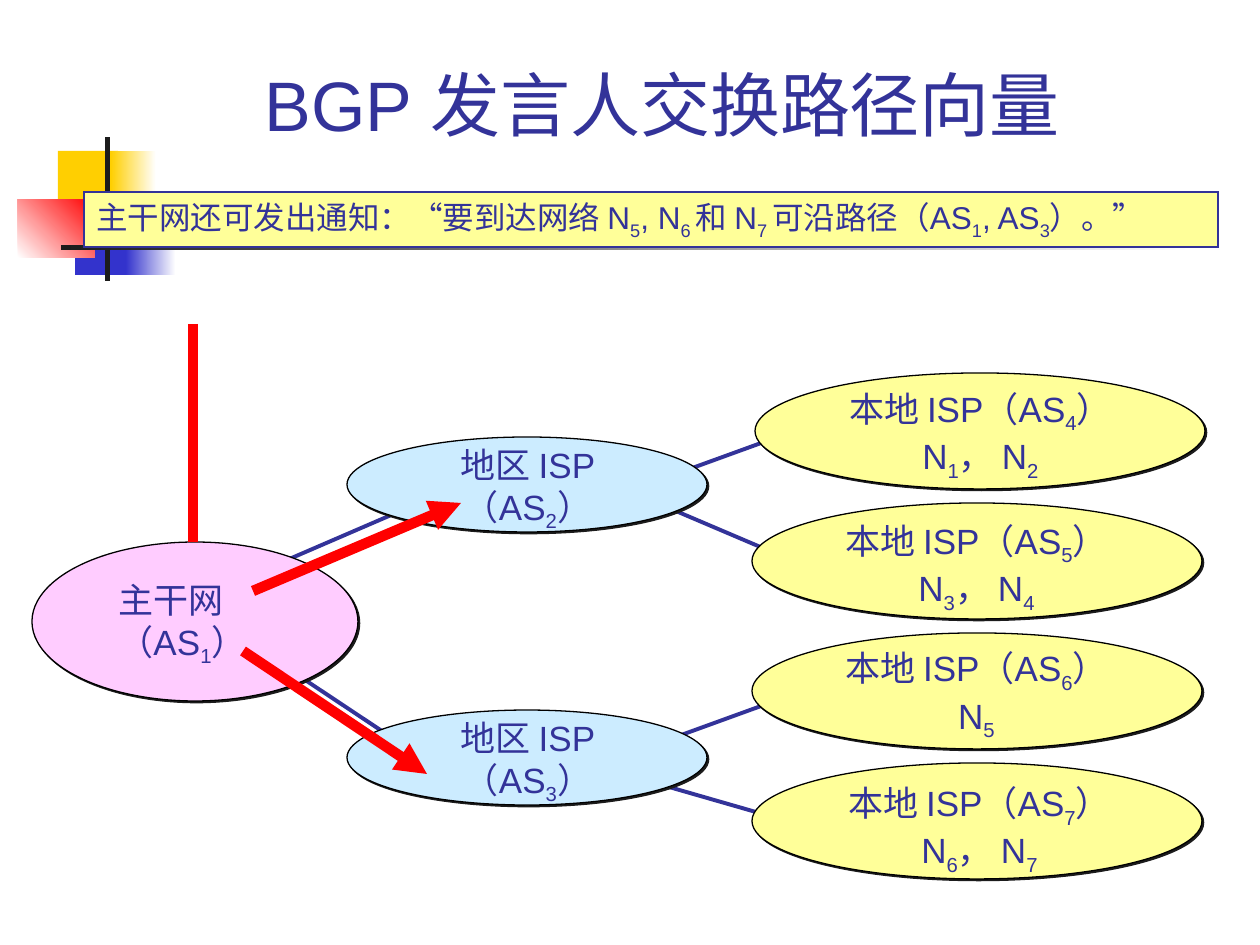
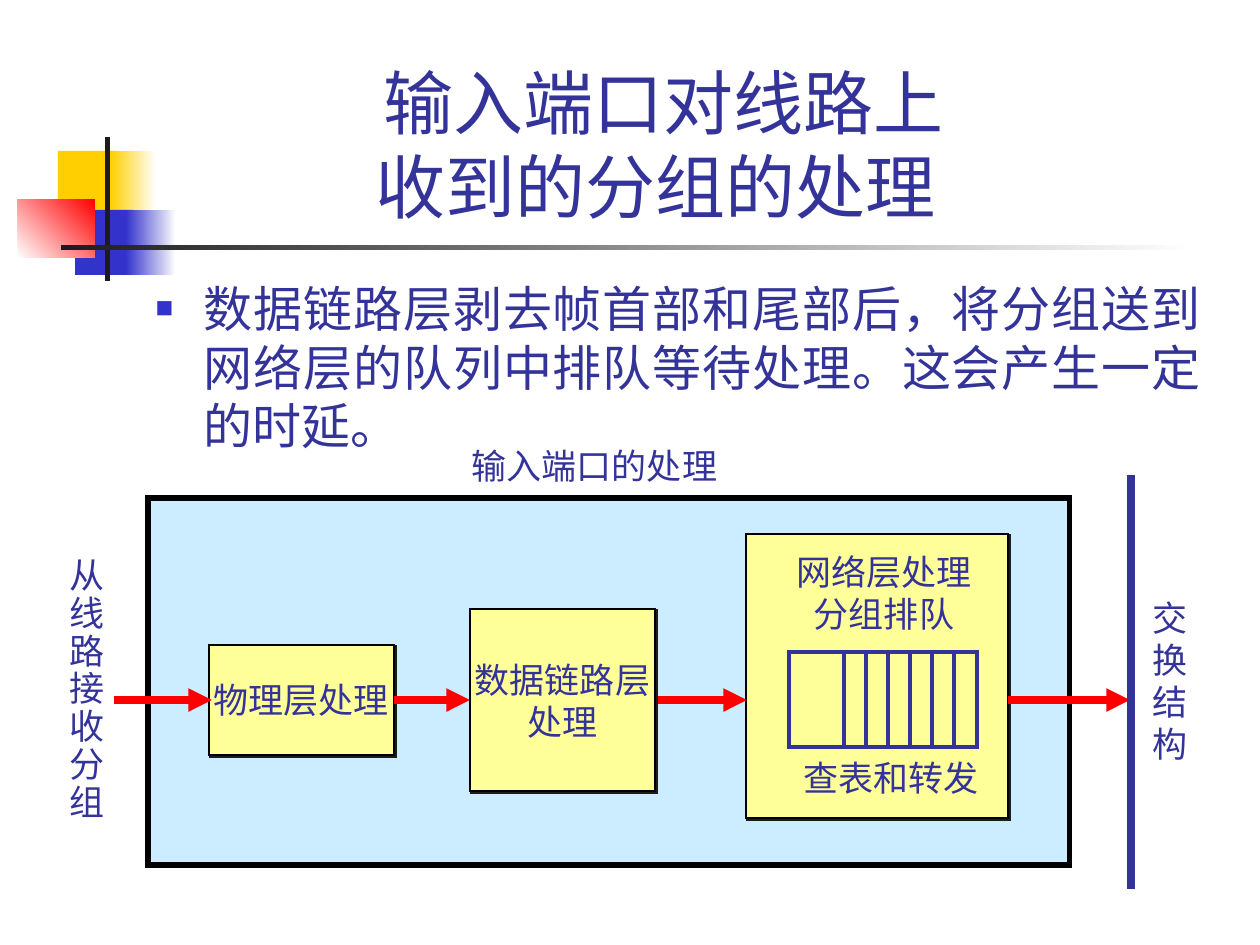
import lxml.etree
import pptx
import pptx.dml.color
import pptx.enum.shapes
import pptx.enum.text
import pptx.oxml.ns
import pptx.util

EMU_PER_PX = 914400 / 126
FONT = "Arial"
COLORS = {
    "ink": "333399",
    "blue": "3333CC",
    "gold": "FFCF01",
    "red": "FF0000",
    "charcoal": "1C1C1C",
    "black": "000000",
    "white": "FFFFFF",
    "sky": "CCECFF",
    "pink": "FFCCFF",
    "lemon": "FFFF99",
}
RECTANGLE = pptx.enum.shapes.MSO_SHAPE.RECTANGLE
OVAL = pptx.enum.shapes.MSO_SHAPE.OVAL
ALIGN = pptx.enum.text.PP_ALIGN
ANCHOR = pptx.enum.text.MSO_ANCHOR
AUTO_SIZE = pptx.enum.text.MSO_AUTO_SIZE


def px(length):
    return pptx.util.Emu(round(length * EMU_PER_PX))


def rgb(name):
    return pptx.dml.color.RGBColor.from_string(COLORS[name])


def add_element(parent, tag, **attributes):
    element = lxml.etree.SubElement(parent, pptx.oxml.ns.qn(tag))
    for name, value in attributes.items():
        element.set(name, value)
    return element


def inside(box, left, top, width, height):
    return box[0] + left, box[1] + top, width, height


def move(shape, box):
    shape.left, shape.top, shape.width, shape.height = map(px, box)


def format_paragraph(paragraph, size, align):
    paragraph.alignment = align
    paragraph.font.size = pptx.util.Pt(size)
    paragraph.font.name = FONT
    paragraph.font.color.rgb = rgb("ink")


def write_subscripts(paragraph, text):
    plain, *marked = text.split("_")
    paragraph.add_run().text = plain
    for part in marked:
        length = 2 if part[1:2] == " " else 1
        subscript = paragraph.add_run()
        subscript.text = part[:length]
        subscript._r.get_or_add_rPr().set("baseline", "-25000")
        if part[length:]:
            paragraph.add_run().text = part[length:]


def write_lines(shape, lines, size=20, align=ALIGN.CENTER, wrap=False, spacing=None):
    frame = shape.text_frame
    frame.word_wrap = wrap
    for index, line in enumerate(lines):
        paragraph = frame.add_paragraph() if index else frame.paragraphs[0]
        write_subscripts(paragraph, line)
        if spacing:
            paragraph.line_spacing = spacing
        format_paragraph(paragraph, size, align)


def add_label(slide, box, lines, **options):
    label = slide.shapes.add_textbox(*map(px, box))
    write_lines(label, lines, **options)
    label.text_frame.auto_size = AUTO_SIZE.SHAPE_TO_FIT_TEXT


def add_block(slide, kind, box, fill, line=None, width=0.75, shadow=False):
    block = slide.shapes.add_shape(kind, *map(px, box))
    block.shadow.inherit = False
    block.fill.solid()
    block.fill.fore_color.rgb = rgb(fill)
    if line:
        block.line.color.rgb = rgb(line)
        block.line.width = pptx.util.Pt(width)
        add_element(block.line._get_or_add_ln(), "a:miter", lim="800000")
    else:
        block.line.fill.background()
    if shadow:
        effects = block._element.spPr.find(pptx.oxml.ns.qn("a:effectLst"))
        outer = add_element(effects, "a:outerShdw", dist="17780", dir="2700000",
                            algn="ctr", rotWithShape="0")
        add_element(outer, "a:srgbClr", val=COLORS["charcoal"])
    return block


def add_line(slide, box, start, end, color="ink", width=2.25, arrow=False):
    points = [px(box[axis] + point[axis]) for point in (start, end) for axis in (0, 1)]
    line = slide.shapes.add_connector(pptx.enum.shapes.MSO_CONNECTOR.STRAIGHT, *points)
    line.line.color.rgb = rgb(color)
    line.line.width = pptx.util.Pt(width)
    if arrow:
        add_element(line.line._get_or_add_ln(), "a:tailEnd", type="triangle")
    add_element(line._element.spPr, "a:effectLst")
    return line


def add_ornament(slide, box):
    parts = [
        ((40, 15, 60, 66), "gold", None, 0),
        ((93, 15, 45, 66), "gold", "white", 0),
        ((57, 74, 58, 65), "blue", None, 0),
        ((108, 74, 50, 65), "blue", "white", 0),
        ((0, 63, 77, 59), "white", "red", 45),
        ((87, 1, 5, 144), "charcoal", None, 0),
        ((43, 109, 1134, 5), "charcoal", "white", 0),
    ]
    for bounds, first, last, angle in parts:
        part = add_block(slide, RECTANGLE, inside(box, *bounds), first)
        if last:
            part.fill.gradient()
            part.fill.gradient_angle = angle
            for stop, color in zip(part.fill.gradient_stops, (first, last)):
                stop.color.rgb = rgb(color)


def add_titled_slide(presentation, layout, title, box):
    slide = presentation.slides.add_slide(presentation.slide_layouts[layout])
    add_ornament(slide, (18, 136, 1177, 145))
    move(slide.shapes.title, box)
    frame = slide.shapes.title.text_frame
    frame.auto_size = AUTO_SIZE.NONE
    frame.vertical_anchor = ANCHOR.BOTTOM
    frame.paragraphs[0].text = title
    format_paragraph(frame.paragraphs[0], 40, ALIGN.CENTER)
    return slide


def add_notice(slide, box):
    notice = add_block(slide, RECTANGLE, box, "lemon", "ink")
    notice.text_frame.vertical_anchor = ANCHOR.TOP
    write_lines(
        notice,
        ["主干网还可发出通知：“要到达网络 N_5, N_6 和 N_7 可沿路径（AS_1, AS_3）。”"],
        size=18, align=ALIGN.LEFT, wrap=True,
    )


def add_network(slide, box):
    links = [
        ((225, 249), (394, 176)),
        ((225, 324), (383, 429)),
        ((630, 155), (776, 102)),
        ((618, 176), (766, 239)),
        ((630, 418), (776, 365)),
        ((630, 461), (776, 503)),
    ]
    for start, end in links:
        add_line(slide, box, start, end)

    def add_isp(bounds, fill, label, lines, align=ALIGN.CENTER):
        add_block(slide, OVAL, inside(box, *bounds), fill, "black", shadow=True)
        add_label(slide, inside(box, *label), lines, align=align)

    for top, number in ((113, 2), (386, 3)):
        add_isp((315, top, 360, 95), "sky", (411, top, 170, 103),
                ["地区 ISP", f"（AS_{number}）"])
    add_isp((0, 218, 326, 159), "pink", (74, 248, 170, 103),
            ["主干网", "（AS_1）"], ALIGN.LEFT)

    locals_ = [
        (723, 35, 8, "N_1， N_2"),
        (720, 34, 10, "N_3， N_4"),
        (720, 34, 7, "N_5"),
        (720, 37, 12, "N_6， N_7"),
    ]
    for index, (left, shift, drop, networks) in enumerate(locals_):
        top = 49 + 130 * index
        add_isp((left, top, 450, 116), "lemon", (left + shift, top + drop, 381, 108),
                [f"本地 ISP（AS_{index + 4}）", networks])

    add_line(slide, box, (161, 0), (161, 218), "red", 6)
    for start, end in (((221, 267), (429, 179)), ((211, 327), (395, 450))):
        add_line(slide, box, start, end, "red", 6, arrow=True)


def add_body(slide, box, text):
    body = slide.placeholders[1]
    move(body, box)
    body.text_frame.auto_size = AUTO_SIZE.NONE
    paragraph = body.text_frame.paragraphs[0]
    paragraph.text = text
    paragraph.space_before = pptx.util.Pt(0)
    properties = paragraph._p.get_or_add_pPr()
    properties.set("marL", str(px(48)))
    properties.set("indent", str(-px(48)))
    bullet_color = add_element(properties, "a:buClr")
    add_element(bullet_color, "a:srgbClr", val=COLORS["blue"])
    add_element(properties, "a:buSzPct", val="60000")
    add_element(properties, "a:buFont", typeface=FONT)
    add_element(properties, "a:buChar", char="■")
    format_paragraph(paragraph, 28, ALIGN.JUSTIFY)


def add_queue(slide, box):
    add_block(slide, RECTANGLE, box, "lemon", "ink", 2.25)
    for index in range(6):
        x = 55 + 22 * index
        add_line(slide, box, (x, 0), (x, box[3]))


def add_input_port(slide, box):
    add_block(slide, RECTANGLE, inside(box, 91, 60, 922, 367), "sky", "black", 3)

    def add_stage(bounds, lines=()):
        stage = add_block(slide, RECTANGLE, inside(box, *bounds), "lemon", "black", 1.5,
                          shadow=True)
        stage.text_frame.vertical_anchor = ANCHOR.MIDDLE
        write_lines(stage, lines)
        return stage

    physical = add_stage((152, 207, 185, 110), ["物理层处理"])
    data_link = add_stage((413, 171, 185, 182), ["数据链路层", "处理"])
    add_stage((689, 96, 262, 284))

    for start, end in ((57, 155), (337, 413), (601, 690), (951, 1073)):
        arrow = add_line(slide, box, (start, 262), (end, 262), "red", 4.5, arrow=True)
        if start == 337:
            arrow.begin_connect(physical, 3)
            arrow.end_connect(data_link, 1)
    add_line(slide, box, (1074, 37), (1074, 451), width=4.5)
    add_queue(slide, inside(box, 732, 214, 188, 95))

    add_label(slide, inside(box, 697, 106, 260, 97), ["网络层处理", "分组排队"])
    add_label(slide, inside(box, 704, 312, 260, 55), ["查表和转发"])
    add_label(slide, inside(box, 393, 0, 289, 55), ["输入端口的处理"])
    add_label(slide, inside(box, 1083, 152, 60, 181), "交换结构")
    add_label(slide, inside(box, 0, 114, 60, 277), "从线路接收分组", spacing=0.9)


def main():
    presentation = pptx.Presentation()
    presentation.slide_width, presentation.slide_height = px(1260), px(945)

    slide = add_titled_slide(presentation, 5, "BGP 发言人交换路径向量 ",
                             (133, 36, 1074, 116))
    add_network(slide, (32, 324, 1173, 556))
    add_notice(slide, (84, 192, 1134, 55))

    slide = add_titled_slide(presentation, 1, "输入端口对线路上\n收到的分组的处理 ",
                             (191, 128, 945, 106))
    add_body(slide, (143, 272, 1071, 190),
             "数据链路层剥去帧首部和尾部后，将分组送到网络层的队列中排队等待处理。这会产生一定的时延。")
    add_input_port(slide, (57, 438, 1143, 452))

    presentation.save("out.pptx")


if __name__ == "__main__":
    main()
